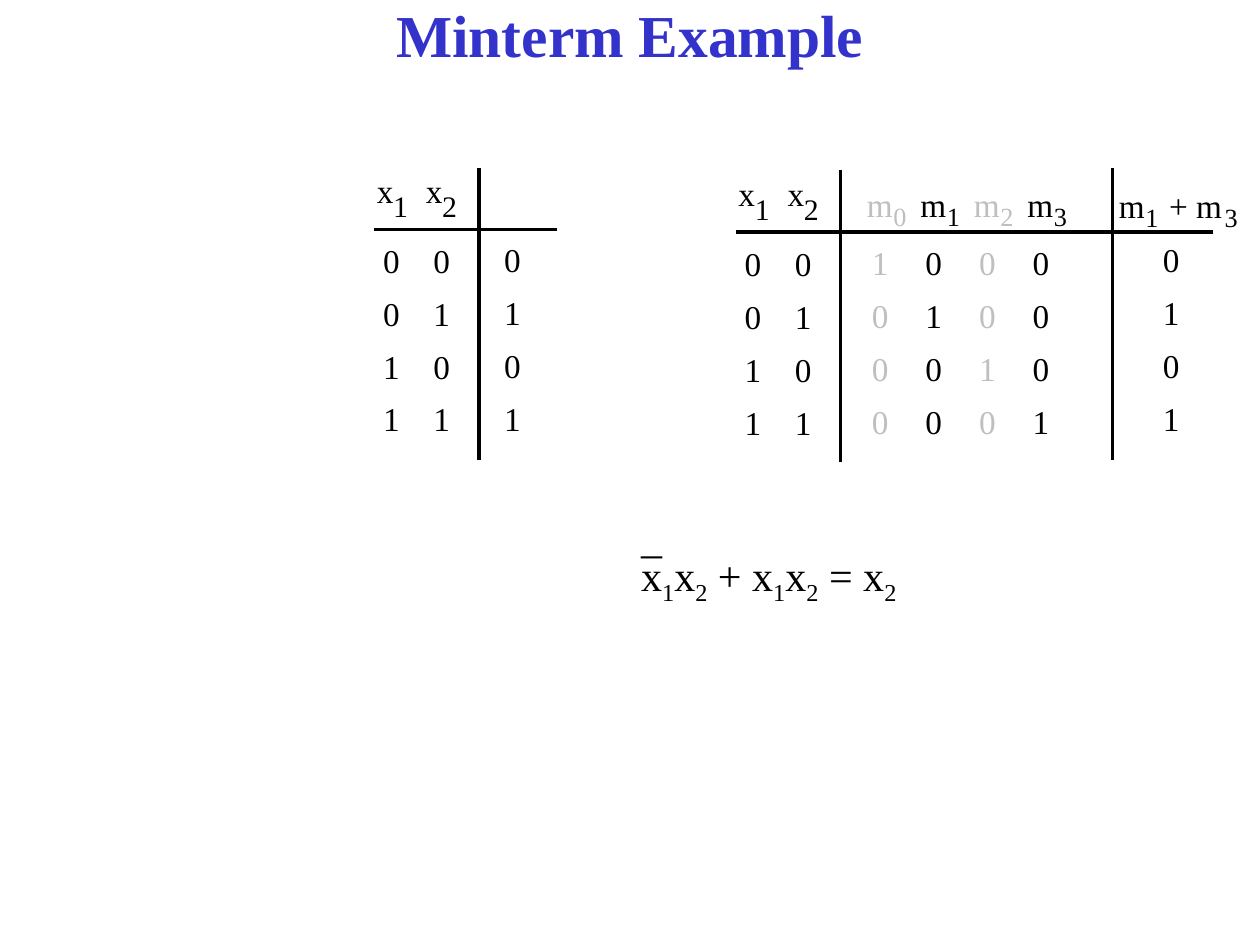
from pptx import Presentation
from pptx.dml.color import RGBColor
from pptx.enum.shapes import MSO_CONNECTOR
from pptx.enum.text import MSO_ANCHOR, MSO_AUTO_SIZE, PP_ALIGN
from pptx.oxml.ns import qn
from pptx.util import Inches, Pt
from lxml.etree import SubElement

BLACK, GRAY, BLUE = "000000", "BFBFBF", "3333CC"
ROW_STEP = 0.42


def color(value):
    return RGBColor.from_string(value)


class SlideBuilder:
    font = "Times New Roman"
    symbol_size = 19

    def __init__(self, slide):
        self.slide = slide

    def add_run(self, para, text, size, fill=BLACK, bold=False, subscript=False):
        span = para.add_run()
        span.text = text
        span.font.name = self.font
        span.font.size = Pt(size)
        span.font.bold = bold
        span.font.color.rgb = color(fill)
        if subscript:
            span.font._element.set("baseline", "-25000")

    def title(self, text):
        box = self.slide.shapes.title
        box.left, box.top = Inches(0.25), Inches(0.08)
        box.width, box.height = Inches(9.5), Inches(0.38)
        box.text_frame.vertical_anchor = MSO_ANCHOR.MIDDLE
        para = box.text_frame.paragraphs[0]
        para.alignment = PP_ALIGN.CENTER
        self.add_run(para, text, 34, BLUE, bold=True)

    def line(self, left, top, right, bottom):
        rule = self.slide.shapes.add_connector(
            MSO_CONNECTOR.STRAIGHT, Inches(left), Inches(top), Inches(right), Inches(bottom))
        rule.line.color.rgb = color(BLACK)
        rule.line.width = Pt(2)
        SubElement(rule._element.spPr, qn("a:effectLst"))

    def label(self, text, left, top, width=0.15, size=symbol_size, fill=BLACK):
        box = self.slide.shapes.add_textbox(
            Inches(left), Inches(top), Inches(width), Inches(size / 60))
        frame = box.text_frame
        frame.margin_left = frame.margin_right = frame.margin_top = frame.margin_bottom = 0
        frame.word_wrap = False
        frame.auto_size = MSO_AUTO_SIZE.SHAPE_TO_FIT_TEXT
        self.add_run(frame.paragraphs[0], text, size, fill)

    def column(self, digits, left, top, width=0.15, fill=BLACK):
        for row, digit in enumerate(digits):
            self.label(digit, left, top + row * ROW_STEP, width, fill=fill)

    def inputs(self, left, top):
        for index, digits in enumerate(("0011", "0101")):
            self.label("x", left + 0.39 * index, top, 0.18)
            self.label(str(index + 1), left + 0.13 + 0.39 * index, top + 0.14, 0.18, size=17)
            self.column(digits, left + 0.05 + 0.4 * index, top + 0.555, 0.2)

    def formula(self, parts, left, top, width):
        box = self.slide.shapes.add_textbox(
            Inches(left), Inches(top), Inches(width), Inches(0.51))
        box.text_frame.word_wrap = True
        box.text_frame.auto_size = MSO_AUTO_SIZE.SHAPE_TO_FIT_TEXT
        for text in parts:
            self.add_run(box.text_frame.paragraphs[0], text, 24, subscript=text.isdigit())


def main():
    deck = Presentation()
    deck.slide_width, deck.slide_height = Inches(10), Inches(7.5)
    page = SlideBuilder(deck.slides.add_slide(deck.slide_layouts[5]))
    page.title("Minterm Example")

    page.line(4.42, 1.82, 2.97, 1.82)
    page.line(3.8, 3.65, 3.8, 1.33)
    page.inputs(2.99, 1.35)
    page.column("0101", 4, 1.9)

    page.line(9.63, 1.84, 5.84, 1.84)
    page.line(6.67, 3.67, 6.67, 1.35)
    page.inputs(5.86, 1.375)
    for index, digits in enumerate(("1000", "0100", "0010", "0001")):
        left = 6.88 + 0.425 * index
        fill = BLACK if index % 2 else GRAY
        page.label("m", left, 1.46, 0.26, fill=fill)
        page.label(str(index), left + 0.21, 1.59, 0.12, size=15, fill=fill)
        page.column(digits, left + 0.04, 1.925, fill=fill)

    page.line(8.83, 3.65, 8.83, 1.33)
    page.column("0101", 9.23, 1.9)
    page.label("m", 8.88, 1.47, 0.3)
    page.label("1", 9.09, 1.6, 0.12, size=15)
    page.label("+ m", 9.28, 1.47, 0.53)
    page.label("3", 9.72, 1.6, 0.12, size=15)

    page.formula(["x", "1", "x", "2", " + x", "1", "x", "2", " = x", "2"], 4.99, 4.31, 2.72)
    page.formula(["_"], 4.99, 4.01, 0.71)
    deck.save("out.pptx")


if __name__ == "__main__":
    main()
